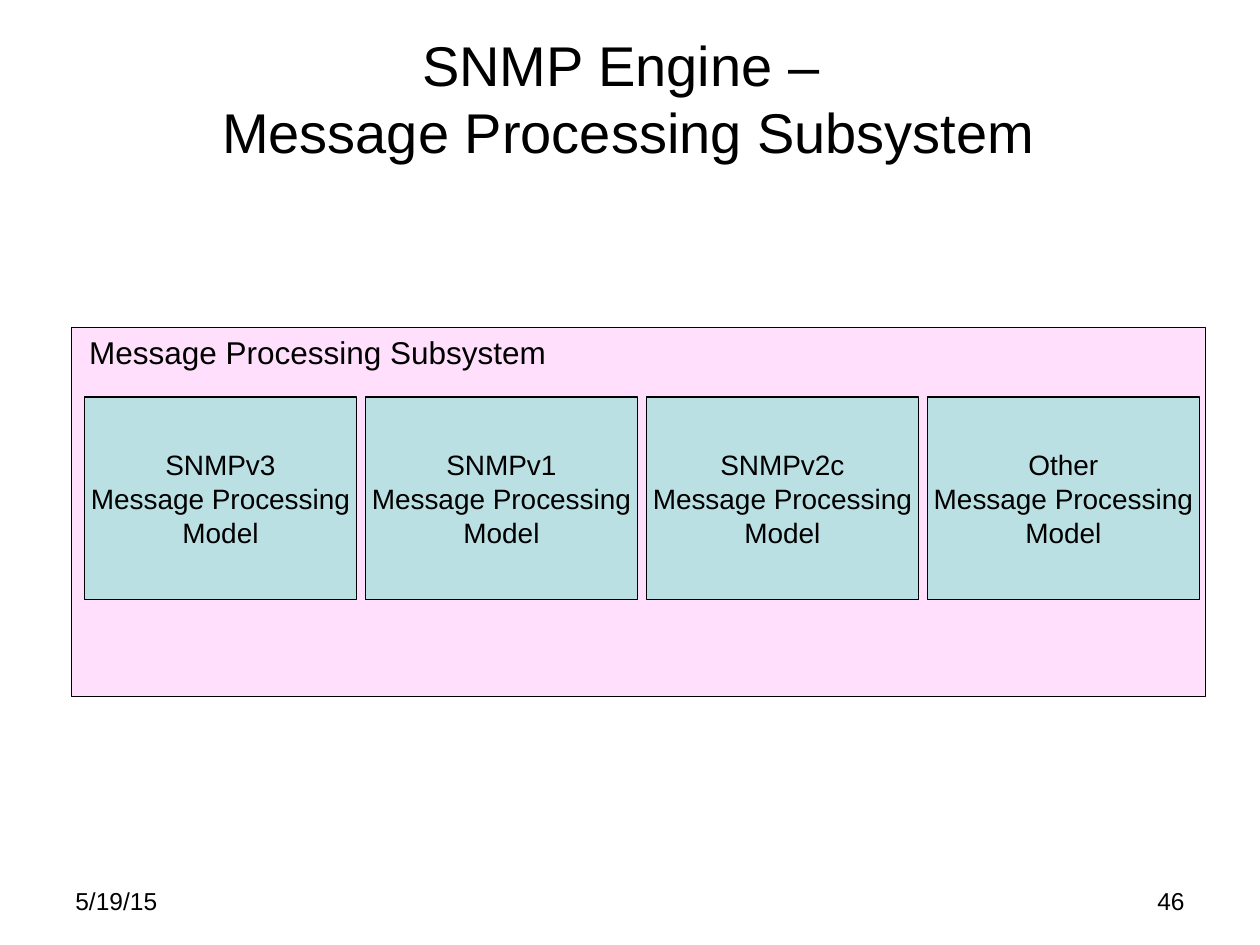
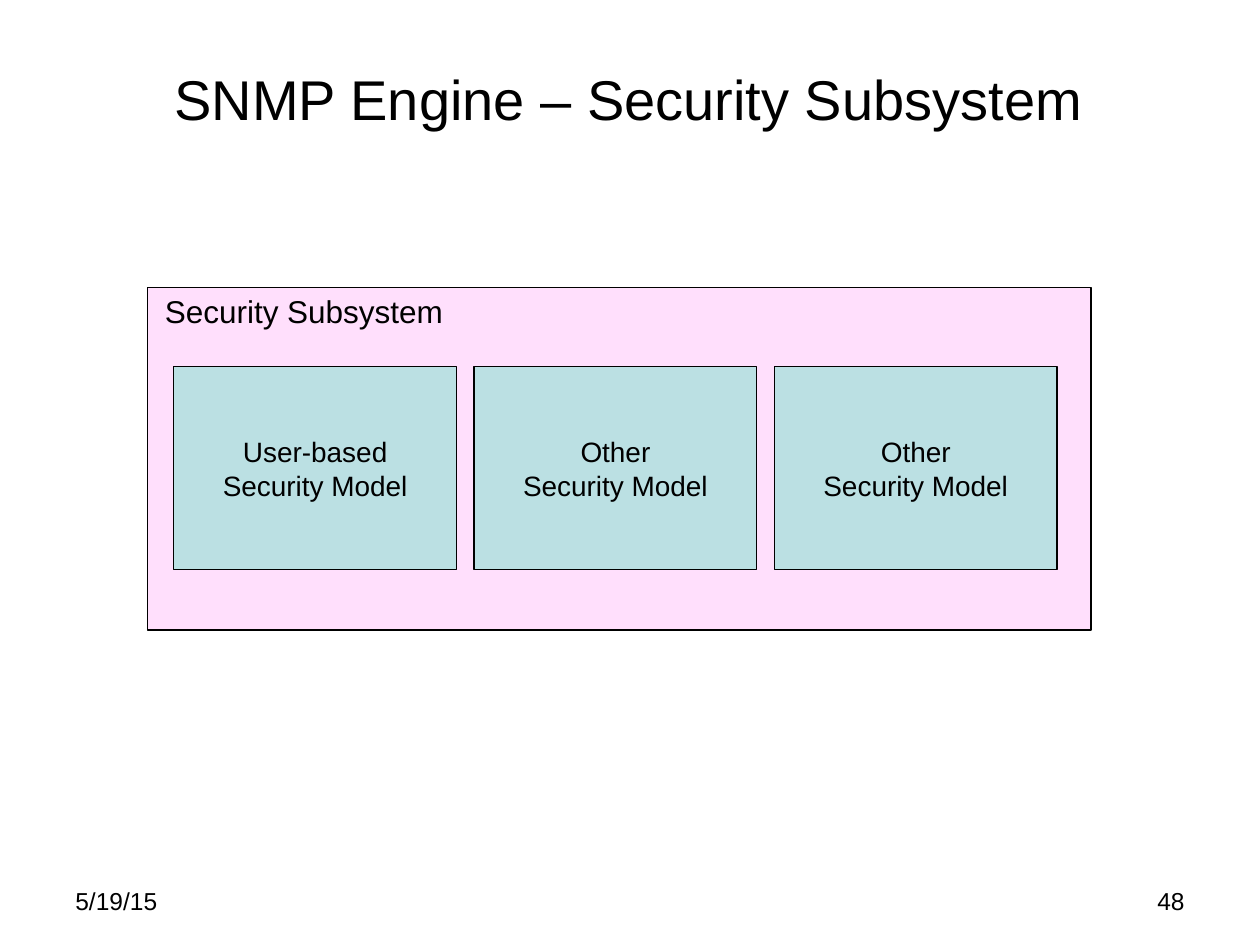
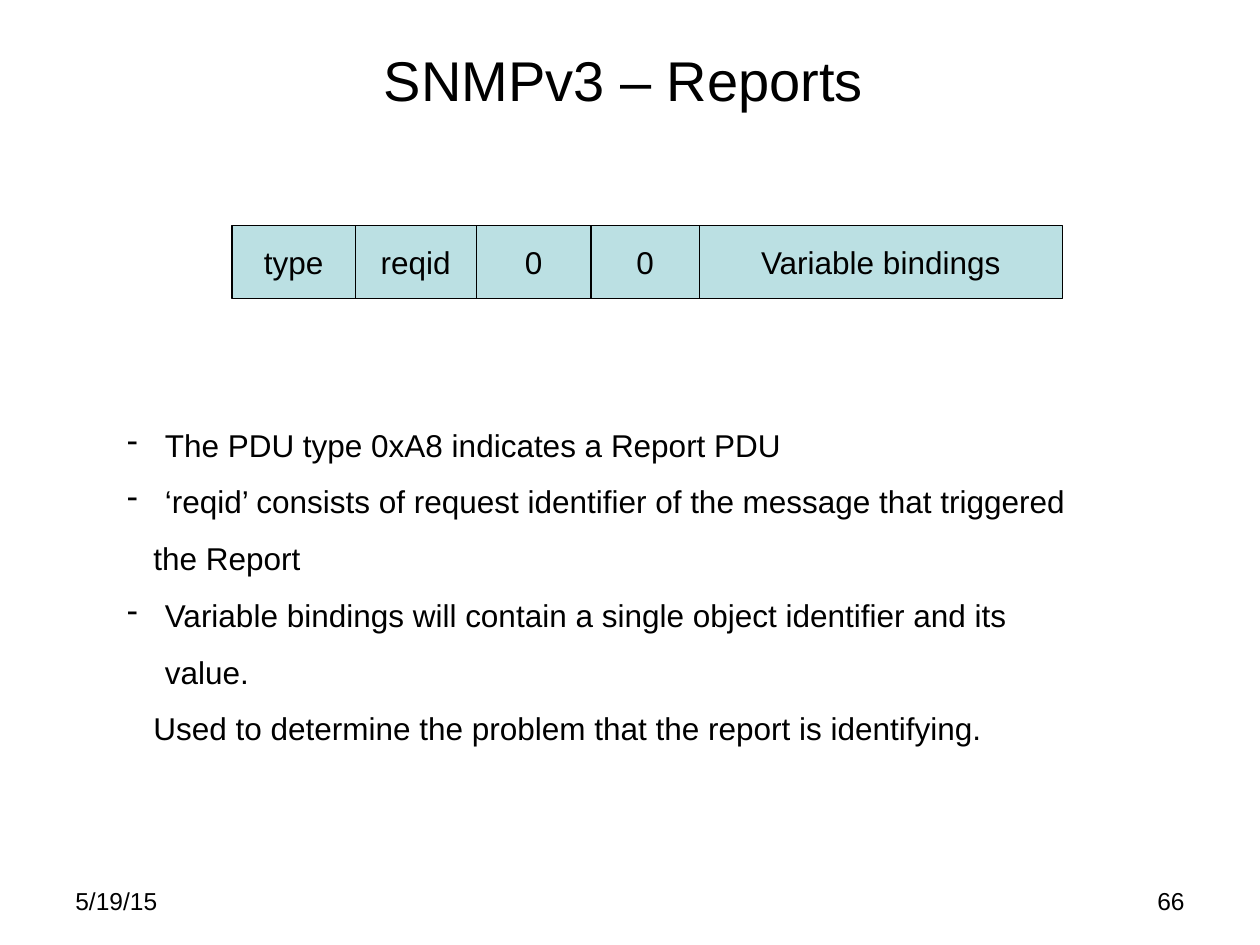
from itertools import pairwise

from lxml.etree import SubElement
from pptx import Presentation
from pptx.dml.color import RGBColor
from pptx.enum.shapes import MSO_CONNECTOR as CONN, MSO_SHAPE as SHAPE
from pptx.enum.text import MSO_ANCHOR as ANCHOR, PP_ALIGN as ALIGN
from pptx.oxml.ns import qn
from pptx.util import Inches, Pt

FONT = "Arial"
BLACK, PINK, TEAL = "000000", "FFDFFC", "BBE0E3"
DATE = "5/19/15"
COLUMNS, ROWS = 100, 75
CELL = Inches(10) // COLUMNS


def grid(*cells):
    """Turn counts of grid cells into lengths."""
    return [round(n * CELL) for n in cells]


def rgb(color):
    """Turn a hex string into a colour."""
    return RGBColor.from_string(color)


def write(tf, text, size, align=ALIGN.LEFT, anchor=ANCHOR.TOP, wrap=True):
    """Set the text of a frame and format every run in it."""
    tf.text = text
    tf.word_wrap = wrap
    tf.vertical_anchor = anchor
    for p in tf.paragraphs:
        p.alignment = align
        for r in p.runs:
            r.font.name, r.font.size = FONT, Pt(size)
            r.font.color.rgb = rgb(BLACK)


def add_text(slide, area, text, size, **style):
    """Add a text box and return its frame."""
    tf = slide.shapes.add_textbox(*grid(*area)).text_frame
    write(tf, text, size, **style)
    return tf


def add_box(slide, area, color):
    """Add an outlined rectangle."""
    sp = slide.shapes.add_shape(SHAPE.RECTANGLE, *grid(*area))
    sp.shadow.inherit = False
    sp.fill.solid()
    sp.fill.fore_color.rgb = rgb(color)
    sp.line.color.rgb = rgb(BLACK)
    sp.line.width = Pt(0.75)
    return sp


def add_divider(slide, x, top, bottom):
    """Add a thin vertical line."""
    line = slide.shapes.add_connector(CONN.STRAIGHT, *grid(x, top, x, bottom))
    line.line.color.rgb = rgb(BLACK)
    line.line.width = Pt(0.75)
    SubElement(line._element.spPr, qn("a:effectLst"))


def add_slide(prs, title, number, title_at=(4.9, 1.5)):
    """Add a slide with its title, date and number."""
    slide = prs.slides.add_slide(prs.slide_layouts[6])
    add_text(slide, (5, 69.8, 23.3, 5.2), DATE, 14)
    add_text(slide, (71.7, 69.8, 23.3, 5.2), str(number), 14, align=ALIGN.RIGHT)
    add_text(slide, (*title_at, 90, 12.5), title, 32,
             align=ALIGN.CENTER, anchor=ANCHOR.MIDDLE)
    return slide


def add_subsystem(slide, area, name, models, row, gap):
    """Add a named panel with an even row of model boxes."""
    add_box(slide, area, PINK)
    add_text(slide, (area[0] + 0.4, area[1] - 0.1, 40, 4), name, 18)
    left, top, right = row
    width = (right - left + gap) / len(models) - gap
    for i, model in enumerate(models):
        sp = add_box(slide, (left + i * (width + gap), top, width, 16.1), TEAL)
        write(sp.text_frame, model, 16, align=ALIGN.CENTER,
              anchor=ANCHOR.MIDDLE, wrap=False)


def add_fields(slide, edges, labels, top, height):
    """Add a message bar divided into labelled fields."""
    add_box(slide, (edges[0], top, edges[-1] - edges[0], height), TEAL)
    for x in edges[1:-1]:
        add_divider(slide, x, top, top + height)
    for (left, right), label in zip(pairwise(edges), labels):
        add_text(slide, (left, top, right - left, height), label, 18,
                 align=ALIGN.CENTER, anchor=ANCHOR.MIDDLE, wrap=False)


def add_notes_list(slide, area, items):
    """Add dashed points and their indented continuations."""
    tf = add_text(slide, area, "\n".join(text for _, text in items), 18)
    for p, (dashed, _) in zip(tf.paragraphs, items):
        p.line_spacing = 1.5
        pPr = p._p.get_or_add_pPr()
        margin = grid(3 if dashed else 2.1)[0]
        pPr.set("marL", str(margin))
        pPr.set("indent", str(-margin if dashed else 0))
        if dashed:
            SubElement(pPr, qn("a:buChar"), char="-")


def main():
    """Build the three slides."""
    prs = Presentation()
    prs.slide_width, prs.slide_height = grid(COLUMNS, ROWS)

    slide = add_slide(prs, "SNMP Engine – \vMessage Processing Subsystem", 46)
    models = [f"{version}\nMessage Processing\nModel"
              for version in ("SNMPv3", "SNMPv1", "SNMPv2c", "Other")]
    add_subsystem(slide, (5.7, 26, 90, 29.3), "Message Processing Subsystem",
                  models, (6.7, 31.5, 95.2), 0.7)

    slide = add_slide(prs, "SNMP Engine – Security Subsystem", 48)
    models = [f"{kind}\nSecurity Model" for kind in ("User-based", "Other", "Other")]
    add_subsystem(slide, (11.7, 22.8, 74.9, 27.2), "Security Subsystem",
                  models, (13.8, 29.1, 83.9), 1.4)

    slide = add_slide(prs, "SNMPv3 – Reports", 66, title_at=(4.5, 0))
    add_fields(slide, (18.4, 28.2, 37.8, 46.9, 55.5, 84.3),
               ("type", "reqid", "0", "0", "Variable bindings"), 17.9, 5.8)
    add_notes_list(slide, (9.1, 31.8, 78.5, 23.6), [
        (True, "The PDU type 0xA8 indicates a Report PDU"),
        (True, "‘reqid’ consists of request identifier of the message that triggered"),
        (False, "the Report"),
        (True, "Variable bindings will contain a single object identifier and its value."),
        (False, "Used to determine the problem that the report is identifying."),
    ])
    prs.save("out.pptx")


main()
